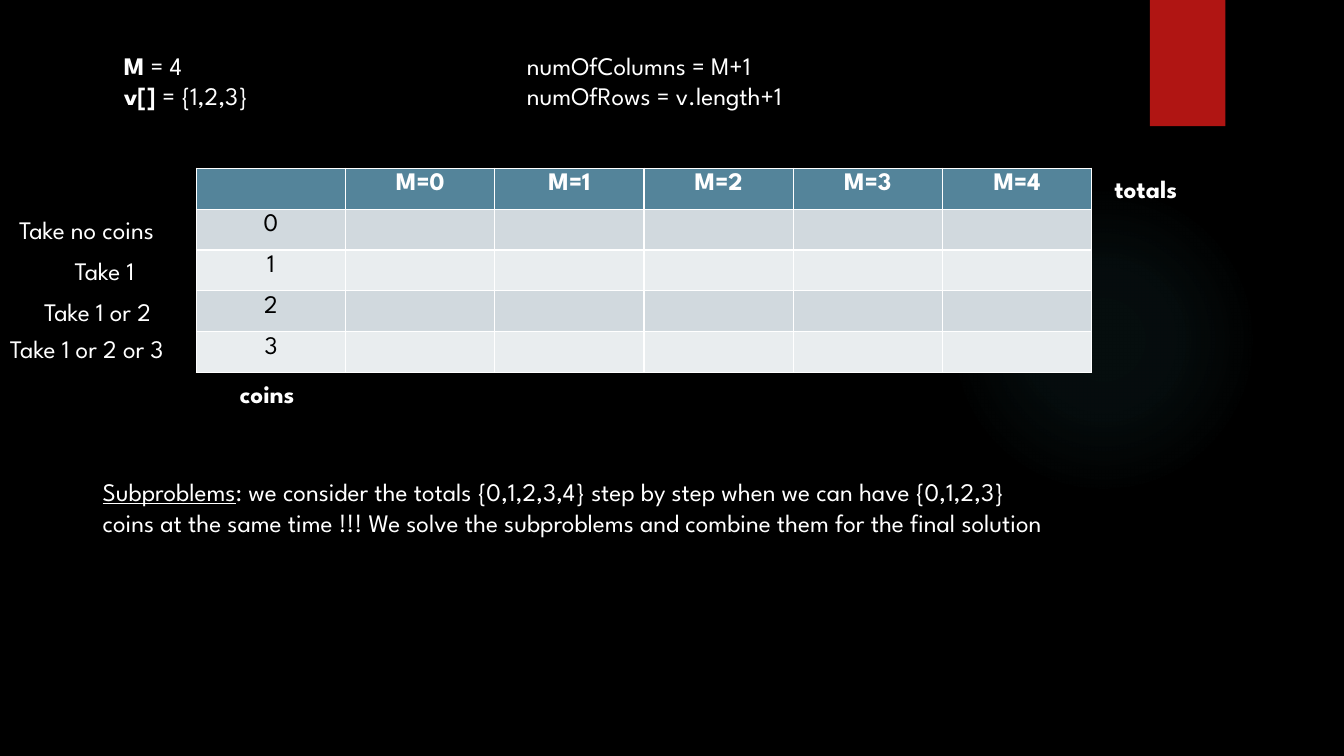
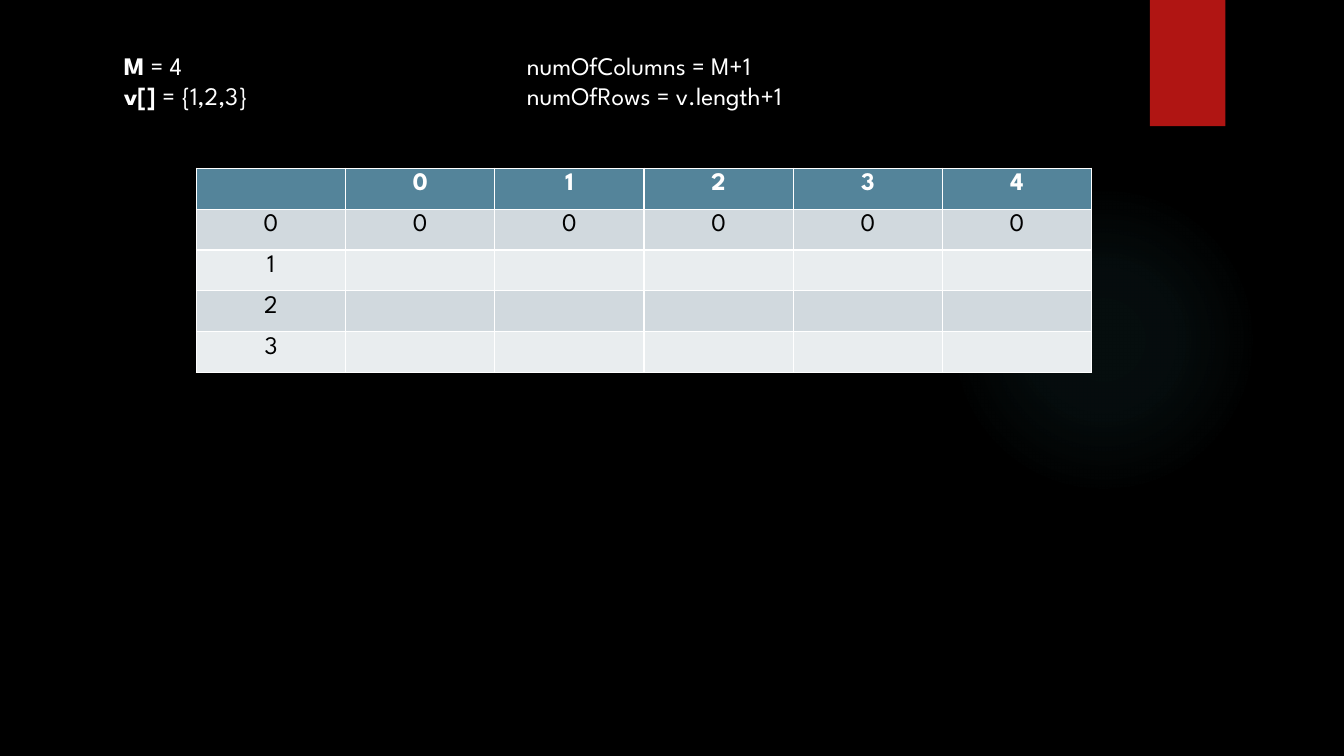
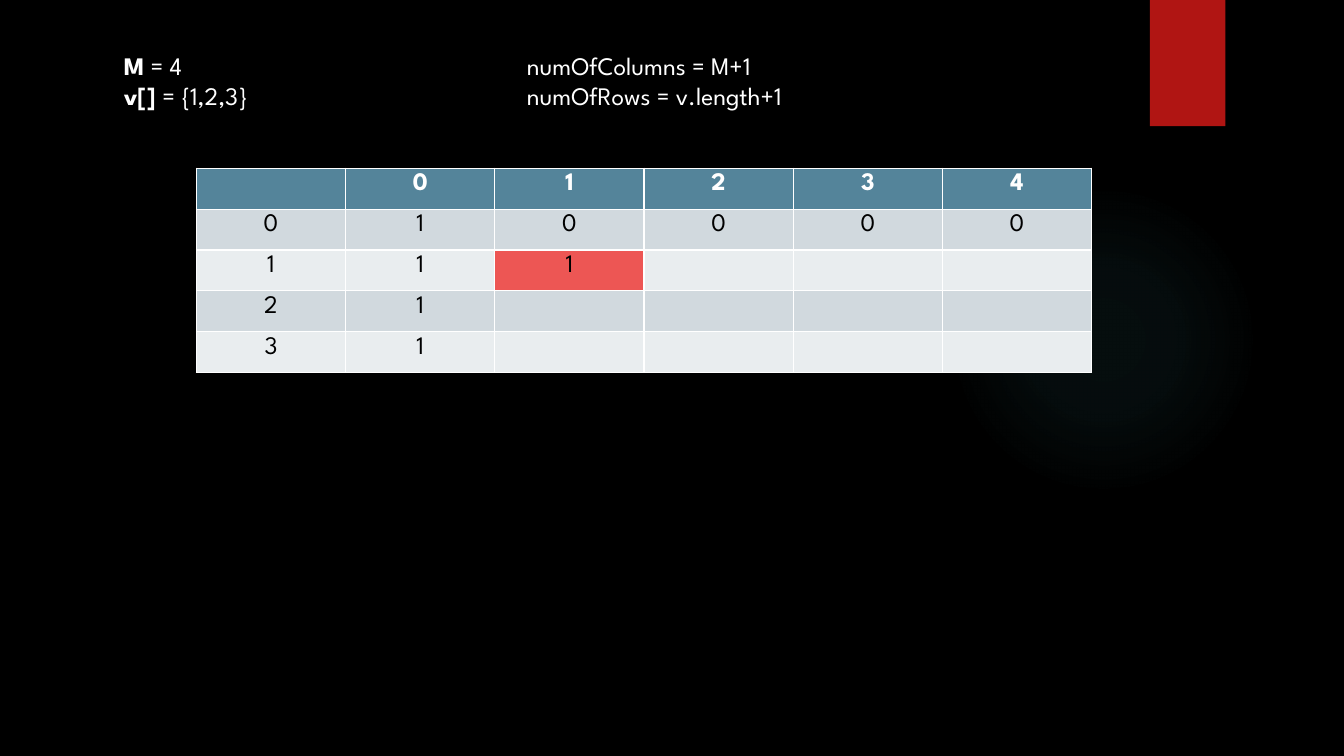
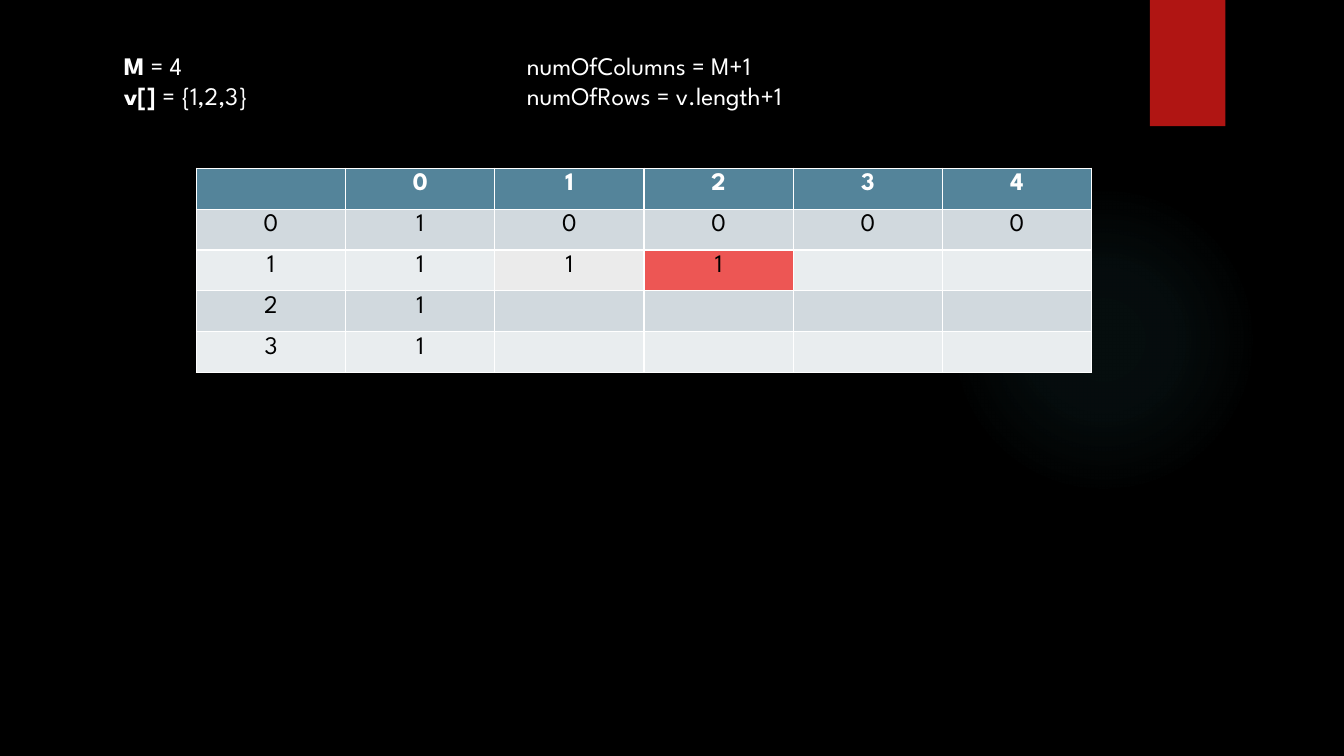
import pptx
import pptx.util
import pptx.oxml
import pptx.dml.color
import pptx.enum.shapes
import pptx.enum.text
import lxml.etree

Cm = pptx.util.Cm

FONT = "League Spartan"
COLORS = {
    "background": "000000",
    "glow": "50B9C1",
    "ribbon": "B01513",
    "light": "FFFFFF",
    "dark": "000000",
    "header": "54849A",
    "odd": "D1D9DE",
    "even": "E9EDEF",
    "current": "ED5654",
    "visited": "EBEBEB",
}
GLOW_STOPS = [(0, 7), (36, 6), (69, 0)]

TAB_STOP = 10.16
TABLE_LEFT, TABLE_TOP = 4.95, 4.24
COLUMN_WIDTH, ROW_HEIGHT = 3.76, 1.03
LINE_HEIGHT = 1.02

PARAMETERS = [
    [("M", "bold"), (" = 4\tnumOfColumns = M+1", "")],
    [("v[] ", "bold"), ("= {1,2,3}\tnumOfRows = v.length+1", "")],
]
SUBPROBLEMS = [
    [("Subproblems", "underline"),
     (": we consider the totals {0,1,2,3,4} step by step when we can have {0,1,2,3}", "")],
    [("coins at the same time !!! We solve the subproblems and combine them for the final solution", "")],
]
LABELS = [
    ("totals", "bold", 27.84, 4.24, 2.18),
    ("coins", "bold", 5.79, 9.4, 2.16),
    ("Take no coins", "", 0.23, 5.28, 4.72),
    ("Take 1", "", 1.63, 6.32, 2.49),
    ("Take 1 or 2", "", 0.86, 7.34, 3.81),
    ("Take 1 or 2 or 3", "", 0, 8.28, 5.13),
]

TOTALS = ["0", "1", "2", "3", "4"]
COINS = ["0", "1", "2", "3"]
STEPS = [
    {"totals": ["M=" + total for total in TOTALS], "values": ["", "", "", ""], "marks": {}},
    {"totals": TOTALS, "values": ["00000", "", "", ""], "marks": {}},
    {"totals": TOTALS, "values": ["10000", "11", "1", "1"], "marks": {(2, 2): "current"}},
    {"totals": TOTALS, "values": ["10000", "111", "1", "1"],
     "marks": {(2, 2): "visited", (2, 3): "current"}},
]


def color(name):
    return pptx.dml.color.RGBColor.from_string(COLORS[name])


def style_font(font, color_name):
    font.name = FONT
    font.size = pptx.util.Pt(18)
    font.color.rgb = color(color_name)


def add_text(page, left, top, width, height, lines, tab_stop=None):
    box = page.shapes.add_textbox(Cm(left), Cm(top), Cm(width), Cm(height))
    frame = box.text_frame
    frame.word_wrap = False
    frame.auto_size = pptx.enum.text.MSO_AUTO_SIZE.SHAPE_TO_FIT_TEXT
    for index, line in enumerate(lines):
        para = frame.add_paragraph() if index else frame.paragraphs[0]
        style_font(para.font, "light")
        for text, style in line:
            span = para.add_run()
            span.text = text
            if style:
                setattr(span.font, style, True)
        if tab_stop:
            namespace = pptx.oxml.ns.qn
            properties = para._p.get_or_add_pPr()
            tabs = lxml.etree.Element(namespace("a:tabLst"))
            lxml.etree.SubElement(tabs, namespace("a:tab"), pos=str(Cm(tab_stop)), algn="l")
            properties.insert(0, tabs)


def add_grid(page, step):
    rows = [["", *step["totals"]]]
    for coin, values in zip(COINS, step["values"]):
        rows.append([coin, *values.ljust(len(TOTALS))])
    row_count, column_count = len(rows), len(rows[0])
    table = page.shapes.add_table(
        row_count, column_count, Cm(TABLE_LEFT), Cm(TABLE_TOP),
        Cm(COLUMN_WIDTH * column_count), Cm(ROW_HEIGHT * row_count)).table
    for column in table.columns:
        column.width = Cm(COLUMN_WIDTH)
    for row_index, row in enumerate(rows):
        table.rows[row_index].height = Cm(ROW_HEIGHT)
        band = "header" if row_index == 0 else "odd" if row_index % 2 else "even"
        for column_index, text in enumerate(row):
            cell = table.cell(row_index, column_index)
            cell.fill.solid()
            cell.fill.fore_color.rgb = color(step["marks"].get((row_index, column_index), band))
            cell.text = text.strip()
            para = cell.text_frame.paragraphs[0]
            para.alignment = pptx.enum.text.PP_ALIGN.CENTER
            style_font(para.font, "light" if row_index == 0 else "dark")
            para.font.bold = row_index == 0


def glow_fill():
    namespace = pptx.oxml.ns.qn
    gradient = lxml.etree.Element(namespace("a:gradFill"), rotWithShape="1")
    stops = lxml.etree.SubElement(gradient, namespace("a:gsLst"))
    for position, opacity in GLOW_STOPS:
        stop = lxml.etree.SubElement(stops, namespace("a:gs"), pos=str(position * 1000))
        tint = lxml.etree.SubElement(stop, namespace("a:srgbClr"), val=COLORS["glow"])
        lxml.etree.SubElement(tint, namespace("a:alpha"), val=str(opacity * 1000))
    circle = lxml.etree.SubElement(gradient, namespace("a:path"), path="circle")
    lxml.etree.SubElement(circle, namespace("a:fillToRect"), l="50000", t="50000", r="50000", b="50000")
    return gradient


def decorate_layout(layout, page):
    layout.background.fill.solid()
    layout.background.fill.fore_color.rgb = color("background")
    kinds = pptx.enum.shapes.MSO_SHAPE
    glow = page.shapes.add_shape(kinds.OVAL, Cm(23.9), Cm(4.65), Cm(7.82), Cm(7.82))
    ribbon = page.shapes.add_shape(kinds.RECTANGLE, Cm(28.98), Cm(0), Cm(1.9), Cm(3.18))
    ribbon.fill.solid()
    ribbon.fill.fore_color.rgb = color("ribbon")
    glow.fill.background()
    properties = glow.element.spPr
    properties.replace(properties.find(pptx.oxml.ns.qn("a:noFill")), glow_fill())
    for shape in (glow, ribbon):
        shape.line.fill.background()
        shape.shadow.inherit = False
        layout.shapes.element.append(shape.element)


def main():
    deck = pptx.Presentation()
    deck.slide_width, deck.slide_height = Cm(33.87), Cm(19.05)
    layout = deck.slide_layouts[6]
    pages = [deck.slides.add_slide(layout) for step in STEPS]
    decorate_layout(layout, pages[0])
    for page, step in zip(pages, STEPS):
        add_text(page, 2.87, 1.14, 18.52, 1.8, PARAMETERS, TAB_STOP)
        add_grid(page, step)
    for text, style, left, top, width in LABELS:
        add_text(pages[0], left, top, width, LINE_HEIGHT, [[(text, style)]])
    add_text(pages[0], 2.34, 11.89, 29.06, 1.8, SUBPROBLEMS)
    deck.save("out.pptx")


if __name__ == "__main__":
    main()
